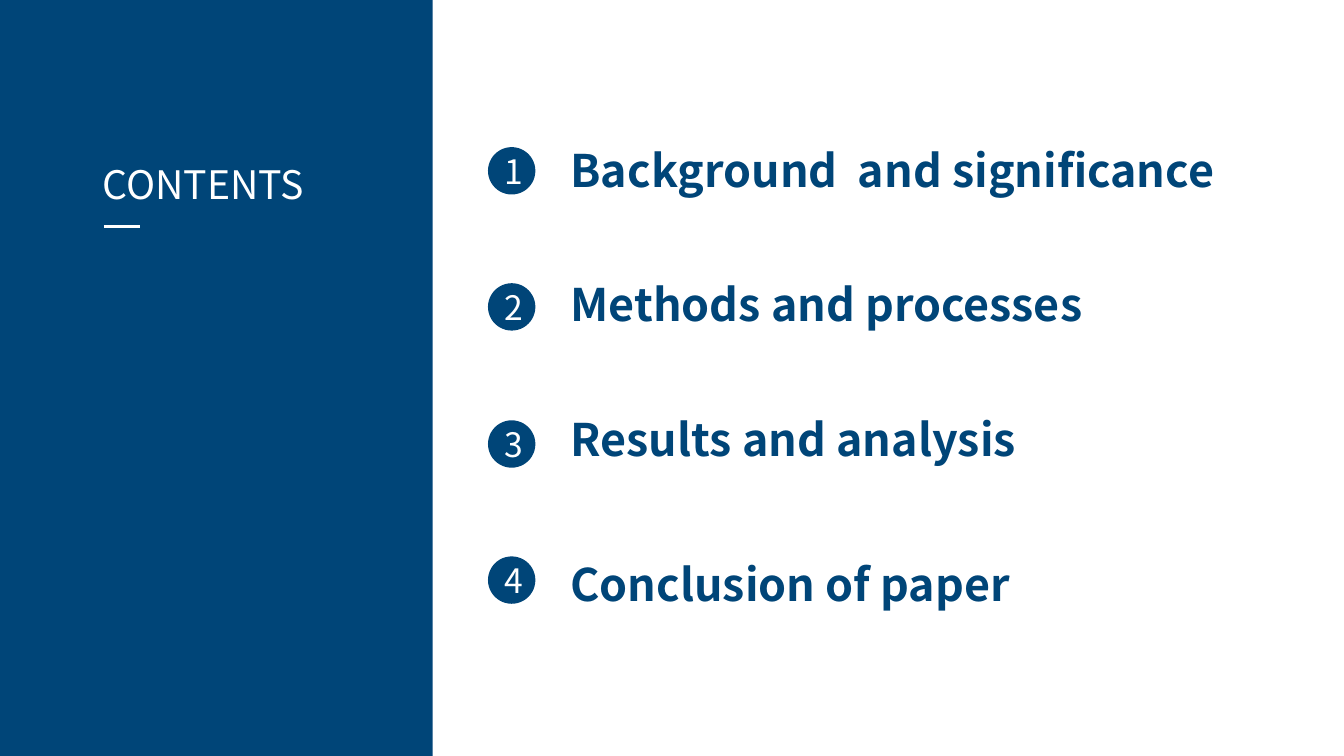
from dataclasses import dataclass

import pptx
import pptx.dml.color
import pptx.enum.shapes
import pptx.enum.text
import pptx.oxml
import pptx.oxml.ns
import pptx.util
from pptx.util import Inches

PP_ALIGN = pptx.enum.text.PP_ALIGN
SHAPE = pptx.enum.shapes.MSO_SHAPE


@dataclass(frozen=True)
class Theme:
    font: str = "Noto Sans CJK SC"
    navy: str = "004578"
    white: str = "FFFFFF"
    title_size: int = 28
    number_size: int = 24
    entry_size: int = 32
    rule_width: float = 2.25


@dataclass(frozen=True)
class Entry:
    text: str
    top: float
    width: float
    height: float = 0.64
    line_spacing: float | None = None


THEME = Theme()
ENTRIES = [
    Entry("Background  and significance", 1.37, 7.43),
    Entry("Methods and processes", 2.7, 5.88),
    Entry("Results and analysis", 4.04, 6.67),
    Entry("Conclusion of paper", 5.37, 7.61, 0.75, 1.2),
]
BADGE_LEFT, BADGE_TOP, BADGE_SIZE, BADGE_PITCH = 4.84, 1.46, 0.47, 1.353
ENTRY_LEFT = 5.56


def rgb(color: str) -> pptx.dml.color.RGBColor:
    return pptx.dml.color.RGBColor.from_string(color)


def write(sp, text: str, size: int, color: str, bold: bool = False,
          align: PP_ALIGN | None = None, line_spacing: float | None = None) -> None:
    """Put one formatted paragraph in a shape."""
    p = sp.text_frame.paragraphs[0]
    p.text = text
    p.alignment = align
    p.line_spacing = line_spacing
    font = p.runs[0].font
    font.name, font.size, font.bold = THEME.font, pptx.util.Pt(size), bold
    font.color.rgb = rgb(color)


def add_filled(s, kind: SHAPE, left: float, top: float, width: float, height: float):
    sp = s.shapes.add_shape(kind, Inches(left), Inches(top), Inches(width), Inches(height))
    sp.shadow.inherit = False
    sp.fill.solid()
    sp.fill.fore_color.rgb = rgb(THEME.navy)
    sp.line.fill.background()
    return sp


def add_text_box(s, left: float, top: float, width: float, height: float):
    sp = s.shapes.add_textbox(Inches(left), Inches(top), Inches(width), Inches(height))
    sp.text_frame.word_wrap = True
    sp.text_frame.auto_size = pptx.enum.text.MSO_AUTO_SIZE.SHAPE_TO_FIT_TEXT
    return sp


def add_rule(s, left: float, right: float, y: float) -> None:
    line = s.shapes.add_connector(pptx.enum.shapes.MSO_CONNECTOR.STRAIGHT,
                                  Inches(left), Inches(y), Inches(right), Inches(y))
    line.line.color.rgb = rgb(THEME.white)
    line.line.width = pptx.util.Pt(THEME.rule_width)
    sp_pr = line._element.find(pptx.oxml.ns.qn("p:spPr"))
    sp_pr.append(pptx.oxml.parse_xml(f"<a:effectLst {pptx.oxml.ns.nsdecls('a')}/>"))


def add_entry(s, index: int, entry: Entry) -> None:
    """Add a numbered badge and the heading beside it."""
    badge = add_filled(s, SHAPE.OVAL, BADGE_LEFT, round(BADGE_TOP + index * BADGE_PITCH, 2),
                       BADGE_SIZE, BADGE_SIZE)
    badge.text_frame.vertical_anchor = pptx.enum.text.MSO_ANCHOR.MIDDLE
    write(badge, str(index + 1), THEME.number_size, THEME.white, align=PP_ALIGN.CENTER)
    heading = add_text_box(s, ENTRY_LEFT, entry.top, entry.width, entry.height)
    write(heading, entry.text, THEME.entry_size, THEME.navy, bold=True,
          line_spacing=entry.line_spacing)


def main() -> None:
    prs = pptx.Presentation()
    prs.slide_width, prs.slide_height = Inches(13.33), Inches(7.5)
    s = prs.slides.add_slide(prs.slide_layouts[6])

    add_filled(s, SHAPE.RECTANGLE, 0, 0, 4.29, 7.5)
    title = add_text_box(s, 0.92, 1.54, 2.45, 0.57)
    write(title, "CONTENTS", THEME.title_size, THEME.white, align=PP_ALIGN.JUSTIFY)
    add_rule(s, 1.03, 1.39, 2.25)
    for index, entry in enumerate(ENTRIES):
        add_entry(s, index, entry)

    prs.save("out.pptx")


if __name__ == "__main__":
    main()
